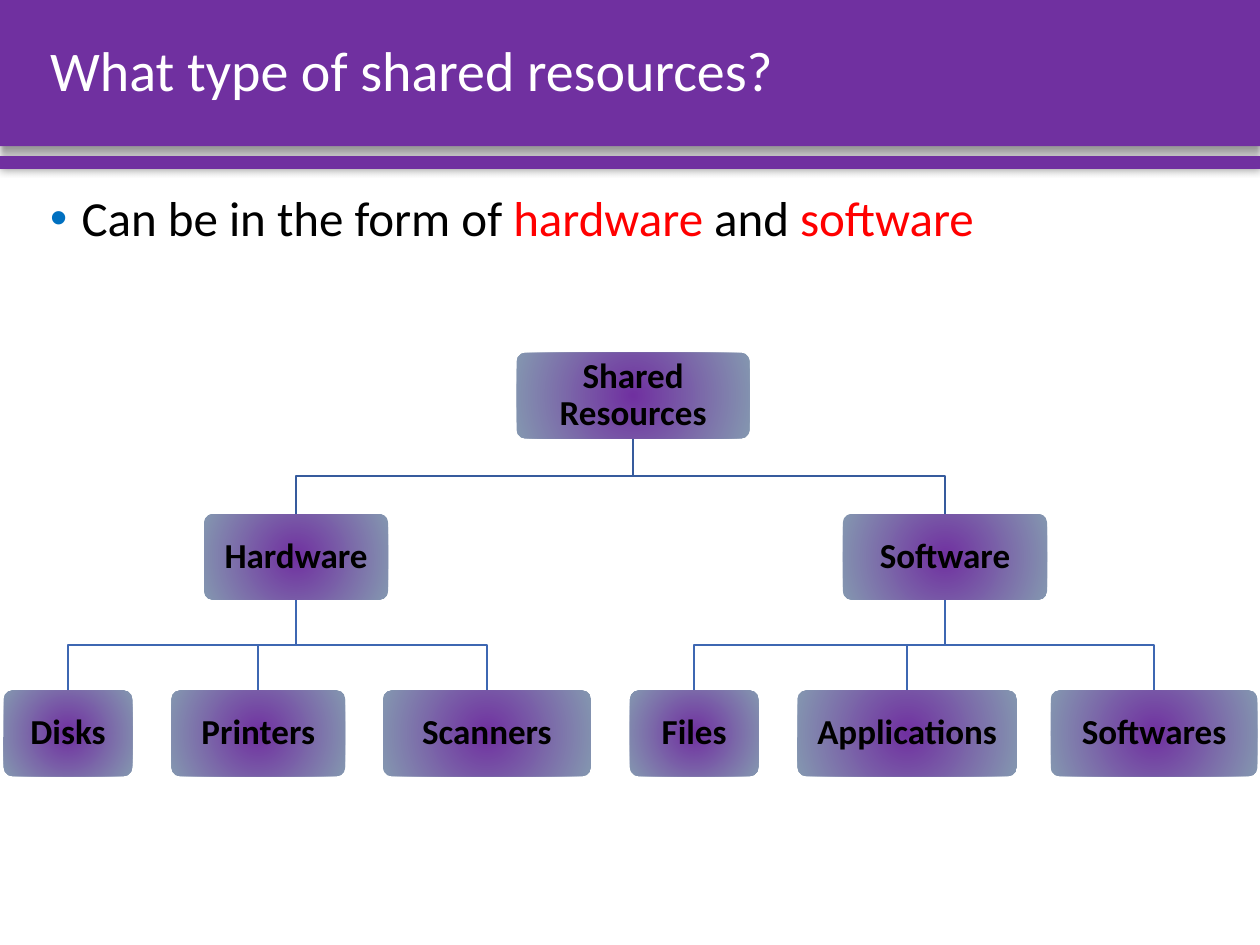
import pptx
import pptx.util
import pptx.dml.color
import pptx.enum.shapes
import pptx.enum.text
import pptx.oxml
import pptx.oxml.ns

RGBColor = pptx.dml.color.RGBColor
SHAPE = pptx.enum.shapes.MSO_SHAPE
ALIGN = pptx.enum.text.PP_ALIGN
MIDDLE = pptx.enum.text.MSO_ANCHOR.MIDDLE
TOP = pptx.enum.text.MSO_ANCHOR.TOP

PURPLE = RGBColor(0x70, 0x30, 0xA0)
SLATE = RGBColor(0x84, 0x97, 0xB0)
BLACK = RGBColor(0, 0, 0)
WHITE = RGBColor(255, 255, 255)
RED = RGBColor(255, 0, 0)
BULLET = RGBColor(0x00, 0x70, 0xC0)
UPPER_LINE = RGBColor(0x36, 0x5B, 0x9D)
LOWER_LINE = RGBColor(0x3E, 0x67, 0xB2)

COLS, ROWS = 100, 75
UNIT = pptx.util.Inches(0.1)
NODE_H = 6.8
LEVELS = [0, 12.8, 26.8]

TREE = ("Shared Resources", 41, 18.5, [
    ("Hardware", 16.2, 14.6, [
        ("Disks", 0.3, 10.2, []),
        ("Printers", 13.6, 13.8, []),
        ("Scanners", 30.4, 16.5, []),
    ]),
    ("Software", 66.9, 16.2, [
        ("Files", 50, 10.2, []),
        ("Applications", 63.3, 17.4, []),
        ("Softwares", 83.4, 16.4, []),
    ]),
])


def grid(*lengths):
    return [round(n * UNIT) for n in lengths]


def xml(parent, body):
    wrapper = pptx.oxml.parse_xml(f"<a:wrapper {pptx.oxml.ns.nsdecls('a')}>{body}</a:wrapper>")
    for node in list(wrapper):
        parent.append(node)


def set_all(target, values):
    for name, value in values.items():
        setattr(target, name, value)


def write(sp, parts, size, bold=False, align=ALIGN.LEFT, anchor=MIDDLE):
    tf = sp.text_frame
    set_all(tf, {"word_wrap": True, "vertical_anchor": anchor})
    p = tf.paragraphs[0]
    set_all(p, {"alignment": align, "line_spacing": 0.9})
    for text, color in parts:
        r = p.add_run()
        r.text = text
        set_all(r.font, {"name": "Calibri", "size": pptx.util.Pt(size), "bold": bold})
        r.font.color.rgb = color
    return p


def add_band(s, box, blur, dist, angle):
    sp = s.shapes.add_shape(SHAPE.RECTANGLE, *grid(*box))
    sp.fill.solid()
    sp.fill.fore_color.rgb = PURPLE
    sp.line.fill.background()
    xml(sp.element.spPr,
        f'<a:effectLst><a:outerShdw blurRad="{pptx.util.Pt(blur)}" dist="{pptx.util.Pt(dist)}" '
        f'dir="{angle * 60000}" algn="ctr" rotWithShape="0"><a:srgbClr val="{BLACK}">'
        '<a:alpha val="40000"/></a:srgbClr></a:outerShdw></a:effectLst>')


def add_header(s, box):
    x, y, w, h = box
    title_h = h - 1.8
    add_band(s, (x, y, w, title_h), 4, 3, 90)
    add_band(s, (x, y + h - 1, w, 1), 5, 0, 0)
    sp = s.shapes.add_textbox(*grid(x + 3, y, w - 5.4, title_h))
    write(sp, [("What type of shared resources?", WHITE)], 32)


def add_body(s, box):
    sp = s.shapes.add_textbox(*grid(*box))
    p = write(sp, [("Can be in the form of ", BLACK), ("hardware", RED),
                   (" and ", BLACK), ("software", RED)], 28, anchor=TOP)
    pPr = p._p.get_or_add_pPr()
    indent = pptx.util.Inches(0.25)
    pPr.set("marL", str(indent))
    pPr.set("indent", str(-indent))
    xml(pPr, f'<a:buClr><a:srgbClr val="{BULLET}"/></a:buClr>'
             '<a:buFont typeface="Arial"/><a:buChar char="•"/>')


def add_node(s, box, label):
    sp = s.shapes.add_shape(SHAPE.ROUNDED_RECTANGLE, *grid(*box))
    sp.shadow.inherit = False
    sp.adjustments[0] = 0.1
    sp.line.fill.background()
    sp.fill.gradient()
    for stop, color in zip(sp.fill.gradient_stops, (PURPLE, SLATE)):
        stop.color.rgb = color
    grad = sp.element.spPr.find(pptx.oxml.ns.qn("a:gradFill"))
    grad.remove(grad.find(pptx.oxml.ns.qn("a:lin")))
    xml(grad, '<a:path path="circle"><a:fillToRect l="50000" t="50000" r="50000" b="50000"/></a:path>')
    margin = pptx.util.Inches(0.08)
    set_all(sp.text_frame, {f"margin_{side}": margin for side in ("left", "top", "right", "bottom")})
    write(sp, [(label, BLACK)], 20, True, ALIGN.CENTER)


def add_branch(s, start, end, color):
    (x1, y1), (x2, y2) = start, end
    middle = (y1 + y2) / 2
    builder = s.shapes.build_freeform(*grid(x1, y1))
    builder.add_line_segments([grid(x1, middle), grid(x2, middle), grid(x2, y2)], close=False)
    sp = builder.convert_to_shape()
    sp.shadow.inherit = False
    sp.fill.background()
    sp.line.color.rgb = color
    sp.line.width = pptx.util.Pt(1)


def add_tree(s, box, node, level=0):
    x, y = box[:2]
    label, left, width, children = node
    top = y + LEVELS[level]
    for child in children:
        child_center = x + child[1] + child[2] / 2
        add_branch(s, (x + left + width / 2, top + NODE_H),
                   (child_center, y + LEVELS[level + 1]), (UPPER_LINE, LOWER_LINE)[level])
        add_tree(s, box, child, level + 1)
    add_node(s, (x + left, top, width, NODE_H), label)


def main():
    prs = pptx.Presentation()
    prs.slide_width, prs.slide_height = grid(COLS, ROWS)
    s = prs.slides.add_slide(prs.slide_layouts[6])
    add_header(s, (0, 0, COLS, 13.4))
    add_body(s, (3, 14.9, 94.6, 5.6))
    add_tree(s, (0, 28, COLS, LEVELS[-1] + NODE_H), TREE)
    prs.save("out.pptx")


if __name__ == "__main__":
    main()
